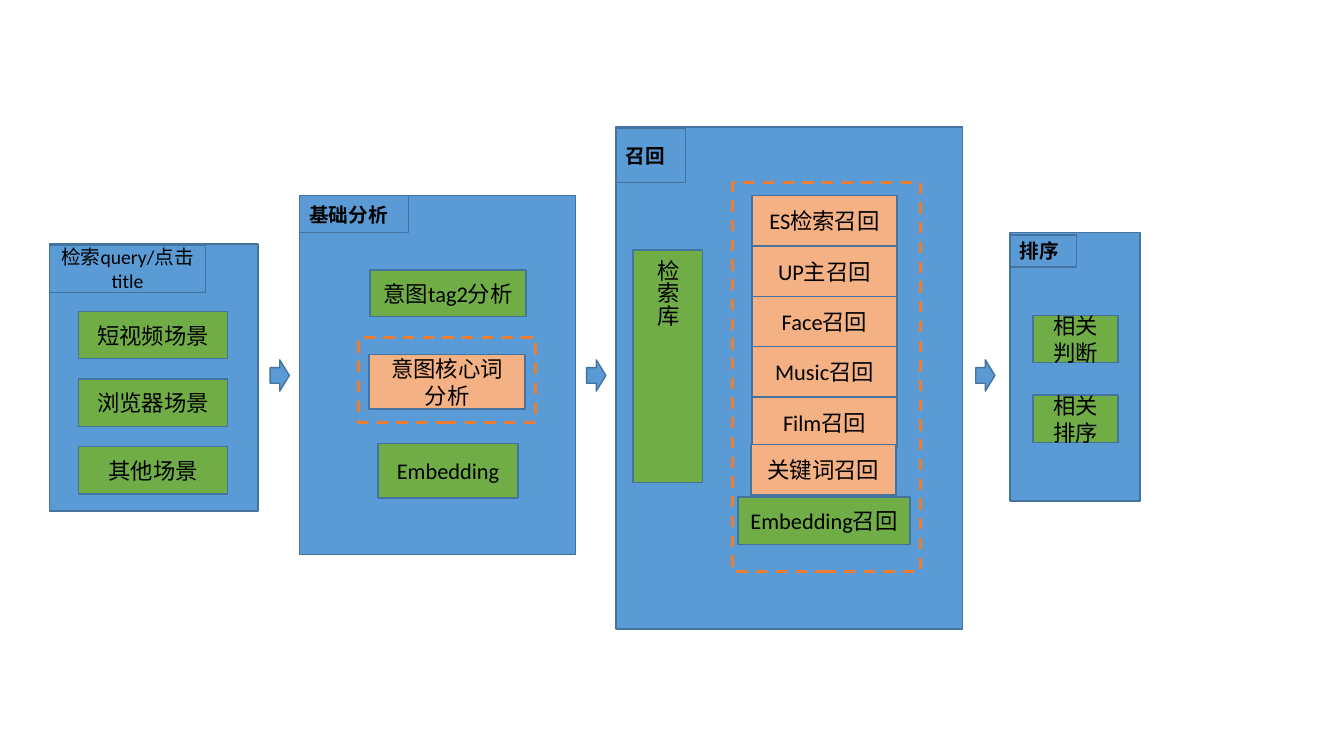
from dataclasses import dataclass

from pptx import Presentation
from pptx.dml.color import RGBColor
from pptx.enum.dml import MSO_LINE_DASH_STYLE as Dash
from pptx.enum.shapes import MSO_SHAPE as Preset
from pptx.enum.text import MSO_ANCHOR as Anchor, PP_ALIGN as Align
from pptx.shapes.autoshape import Shape
from pptx.util import Inches, Pt

# The slide is a grid of square cells, ten to the inch.
CELL = 0.1
COLUMNS, ROWS = 133.33, 75
FONT = "Calibri"
COLORS = {
    "blue": "5B9BD5",
    "green": "70AD47",
    "peach": "F4B183",
    "outline": "43739E",
    "dashes": "ED7D31",
    "text": "000000",
}


@dataclass(frozen=True)
class Area:
    column: float
    row: float
    width: float
    height: float


@dataclass(frozen=True)
class Box:
    area: Area
    text: str
    color: str = "green"
    vertical: bool = False


@dataclass(frozen=True)
class Stage:
    panel: Area
    header: Area
    title: str
    boxes: list[Box]
    frame: Area | None = None
    plain_title: bool = False


def cells(count: float) -> int:
    return Inches(count * CELL)


def color(name: str) -> RGBColor:
    return RGBColor.from_string(COLORS[name])


def stack(labels: list[str], first: Area, pitch: float, fill: str = "green") -> list[Box]:
    """Boxes of one size, placed downwards at an even pitch."""
    return [
        Box(Area(first.column, first.row + index * pitch, first.width, first.height), label, fill)
        for index, label in enumerate(labels)
    ]


def draw_shape(slide, area: Area, fill: str | None = "blue", preset: Preset = Preset.RECTANGLE) -> Shape:
    shape = slide.shapes.add_shape(
        preset, cells(area.column), cells(area.row), cells(area.width), cells(area.height)
    )
    shape.shadow.inherit = False
    if fill:
        shape.fill.solid()
        shape.fill.fore_color.rgb = color(fill)
    else:
        shape.fill.background()
    shape.line.color.rgb = color("outline")
    shape.line.width = Pt(1)
    return shape


def write(shape: Shape, text: str, size: int = 16, bold: bool = False, align: Align = Align.CENTER) -> None:
    frame = shape.text_frame
    frame.word_wrap = True
    frame.vertical_anchor = Anchor.MIDDLE
    for index, line in enumerate(text.split("\n")):
        paragraph = frame.add_paragraph() if index else frame.paragraphs[0]
        paragraph.alignment = align
        run = paragraph.add_run()
        run.text = line
        run.font.name = FONT
        run.font.size = Pt(size)
        run.font.bold = bold
        run.font.color.rgb = color("text")


def draw_stage(slide, stage: Stage) -> None:
    draw_shape(slide, stage.panel)
    header = draw_shape(slide, stage.header)
    align = Align.CENTER if stage.plain_title else Align.LEFT
    write(header, stage.title, 14, not stage.plain_title, align)
    for box in stage.boxes:
        shape = draw_shape(slide, box.area, box.color)
        write(shape, box.text)
        if box.vertical:
            shape.text_frame._txBody.bodyPr.set("vert", "eaVert")
    if stage.frame:
        frame = draw_shape(slide, stage.frame, None)
        frame.line.color.rgb = color("dashes")
        frame.line.width = Pt(2)
        frame.line.dash_style = Dash.DASH


STAGES = [
    # Search input
    Stage(
        Area(4.9, 24.2, 20.7, 26.5), Area(4.9, 24.3, 15.5, 4.7), "检索query/点击title",
        stack(["短视频场景", "浏览器场景", "其他场景"], Area(7.8, 30.9, 14.8, 4.7), 6.7),
        plain_title=True,
    ),
    # Basic analysis
    Stage(
        Area(29.7, 19.4, 27.4, 35.6), Area(29.7, 19.4, 10.8, 3.7), "基础分析",
        [
            Box(Area(36.7, 26.8, 15.5, 4.6), "意图tag2分析"),
            Box(Area(36.6, 35.2, 15.5, 5.4), "意图核心词\n分析", "peach"),
            Box(Area(37.5, 44, 13.9, 5.4), "Embedding"),
        ],
        frame=Area(35.6, 33.5, 17.5, 8.4),
    ),
    # Recall
    Stage(
        Area(61.1, 12.6, 34.4, 49.8), Area(61.1, 12.7, 6.9, 5.4), "召回",
        [
            *stack(
                ["ES检索召回", "UP主召回", "Face召回", "Music召回", "Film召回"],
                Area(74.6, 19.4, 14.4, 5), 5, "peach",
            ),
            Box(Area(74.5, 44.1, 14.4, 5), "关键词召回", "peach"),
            Box(Area(73.2, 49.3, 17.1, 4.7), "Embedding召回"),
            Box(Area(62.8, 24.8, 6.9, 23.1), "检索库", vertical=True),
        ],
        frame=Area(72.7, 18.1, 18.6, 38.6),
    ),
    # Ranking
    Stage(
        Area(100.2, 23.1, 12.9, 26.6), Area(100.2, 23.3, 6.6, 3.2), "排序",
        stack(["相关判断", "相关排序"], Area(102.5, 31.3, 8.4, 4.7), 7.9),
    ),
]
ARROW_COLUMNS = [26.8, 58.2, 96.8]


def main() -> None:
    presentation = Presentation()
    presentation.slide_width = cells(COLUMNS)
    presentation.slide_height = cells(ROWS)
    slide = presentation.slides.add_slide(presentation.slide_layouts[6])
    for stage in STAGES:
        draw_stage(slide, stage)
    # Arrows between the stages
    for column in ARROW_COLUMNS:
        draw_shape(slide, Area(column, 35.7, 1.9, 3.1), preset=Preset.RIGHT_ARROW)
    presentation.save("out.pptx")


if __name__ == "__main__":
    main()
